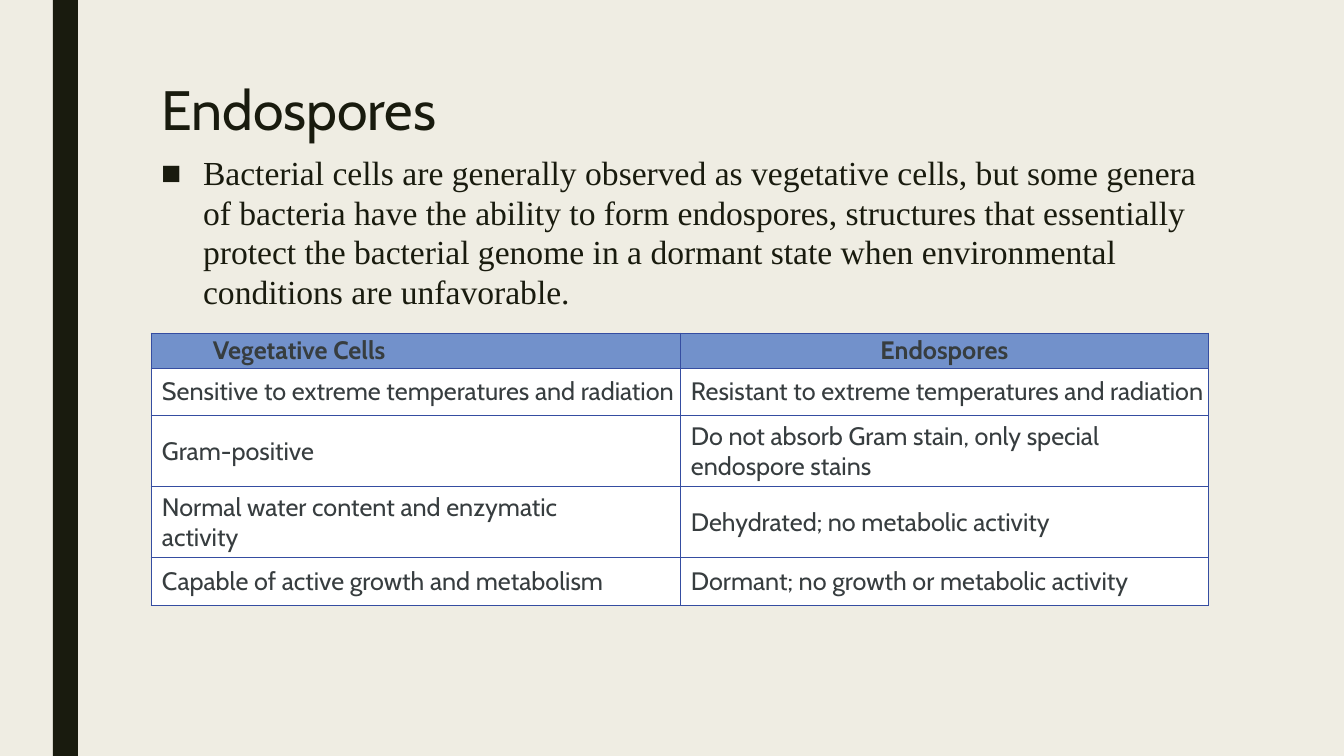
from lxml import etree
from pptx import Presentation
from pptx.dml.color import RGBColor
from pptx.enum.shapes import MSO_SHAPE
from pptx.enum.text import MSO_ANCHOR, MSO_AUTO_SIZE, PP_ALIGN
from pptx.oxml.ns import qn
from pptx.util import Emu, Pt

RECTANGLE = MSO_SHAPE.RECTANGLE
MIDDLE, TOP = MSO_ANCHOR.MIDDLE, MSO_ANCHOR.TOP
LEFT, CENTER = PP_ALIGN.LEFT, PP_ALIGN.CENTER

TITLE = "Endospores"
BODY = (
    "Bacterial cells are generally observed as vegetative cells, but some genera "
    "of bacteria have the ability to form endospores, structures that essentially "
    "protect the bacterial genome in a dormant state when environmental "
    "conditions are unfavorable."
)
COMPARISON = [
    ("Vegetative Cells", "Endospores"),
    ("Sensitive to extreme temperatures and radiation",
     "Resistant to extreme temperatures and radiation"),
    ("Gram-positive", "Do not absorb Gram stain, only special endospore stains"),
    ("Normal water content and enzymatic activity", "Dehydrated; no metabolic activity"),
    ("Capable of active growth and metabolism", "Dormant; no growth or metabolic activity"),
]
COLORS = {
    "background": "EFEDE3",
    "ink": "191B0E",
    "cell text": "373D3F",
    "header": "7291CB",
    "cell": "FFFFFF",
    "border": "354DA1",
}
HEADING_FONT, BODY_FONT = "Cabin", "Times New Roman"

# Lengths in px
SLIDE_WIDTH, SLIDE_HEIGHT = 1344, 756
CONTENT_LEFT, CONTENT_WIDTH = 151, 1058
ROW_HEIGHTS = [35, 48, 71, 71, 48]
CELL_INDENT = 11
# (row, column): (alignment, left indent, right indent)
SPECIAL_CELLS = {
    (0, 0): (LEFT, 62, 0),
    (0, 1): (CENTER, 0, 0),
    (3, 0): (LEFT, CELL_INDENT, 80),
}


def px(length):
    return Emu(round(length * 914400 / 100.8))


def color(name):
    return RGBColor.from_string(COLORS[name])


def fill(target, name):
    target.fill.solid()
    target.fill.fore_color.rgb = color(name)


def style_font(para, font_name, size, color_name, bold=False):
    for span in para.runs:
        span.font.name = font_name
        span.font.size = Pt(size)
        span.font.bold = bold
        span.font.color.rgb = color(color_name)


def place_text(box, text, top, height, anchor, spacing):
    """Move a placeholder, fill it and return its paragraph."""
    box.left, box.top = px(CONTENT_LEFT), px(top)
    box.width, box.height = px(CONTENT_WIDTH), px(height)
    frame = box.text_frame
    frame.text = text
    frame.word_wrap = True
    frame.auto_size = MSO_AUTO_SIZE.NONE
    frame.vertical_anchor = anchor
    para = frame.paragraphs[0]
    para.alignment = LEFT
    para.line_spacing = spacing
    para.space_before = Pt(0)
    return para


def indent(para, left, first=0, right=0):
    properties = para._p.get_or_add_pPr()
    for name, length in (("marL", left), ("marR", right), ("indent", first)):
        properties.set(name, str(px(length)))
    return properties


def add_borders(cell):
    properties = cell._tc.get_or_add_tcPr()
    for position, side in enumerate(("a:lnL", "a:lnR", "a:lnT", "a:lnB")):
        line = etree.Element(qn(side), w=str(Pt(0.75)))
        solid = etree.SubElement(line, qn("a:solidFill"))
        etree.SubElement(solid, qn("a:srgbClr"), val=COLORS["border"])
        properties.insert(position, line)


def add_comparison(slide):
    frame = slide.shapes.add_table(
        len(COMPARISON), len(COMPARISON[0]), px(CONTENT_LEFT), px(333),
        px(CONTENT_WIDTH), px(sum(ROW_HEIGHTS)))
    table = frame.table
    table.horz_banding = False
    for row, height in zip(table.rows, ROW_HEIGHTS):
        row.height = px(height)
    for row, texts in enumerate(COMPARISON):
        is_header = row == 0
        for column, text in enumerate(texts):
            cell = table.cell(row, column)
            cell.margin_left = cell.margin_right = 0
            cell.margin_top = cell.margin_bottom = 0
            cell.vertical_anchor = MIDDLE
            fill(cell, "header" if is_header else "cell")
            add_borders(cell)
            cell.text_frame.text = text
            para = cell.text_frame.paragraphs[0]
            para.alignment, left, right = SPECIAL_CELLS.get(
                (row, column), (LEFT, CELL_INDENT, 0))
            indent(para, left, right=right)
            style_font(para, HEADING_FONT, 18, "cell text", is_header)


def main():
    deck = Presentation()
    deck.slide_width, deck.slide_height = px(SLIDE_WIDTH), px(SLIDE_HEIGHT)
    slide = deck.slides.add_slide(deck.slide_layouts[1])
    fill(slide.background, "background")

    bar = slide.shapes.add_shape(RECTANGLE, px(53), 0, px(25), px(SLIDE_HEIGHT))
    bar.shadow.inherit = False
    fill(bar, "ink")
    bar.line.fill.background()

    title = place_text(slide.shapes.title, TITLE, 76, 73, MIDDLE, 0.89)
    style_font(title, HEADING_FONT, 39.6, "ink")

    body = place_text(slide.placeholders[1], BODY, 149, 498, TOP, 0.98)
    body.space_after = Pt(2)
    bullet_properties = indent(body, 42, first=-42)
    etree.SubElement(bullet_properties, qn("a:buFont"), typeface=BODY_FONT)
    etree.SubElement(bullet_properties, qn("a:buChar"), char="■")
    style_font(body, BODY_FONT, 24, "ink")

    add_comparison(slide)
    deck.save("out.pptx")


if __name__ == "__main__":
    main()
